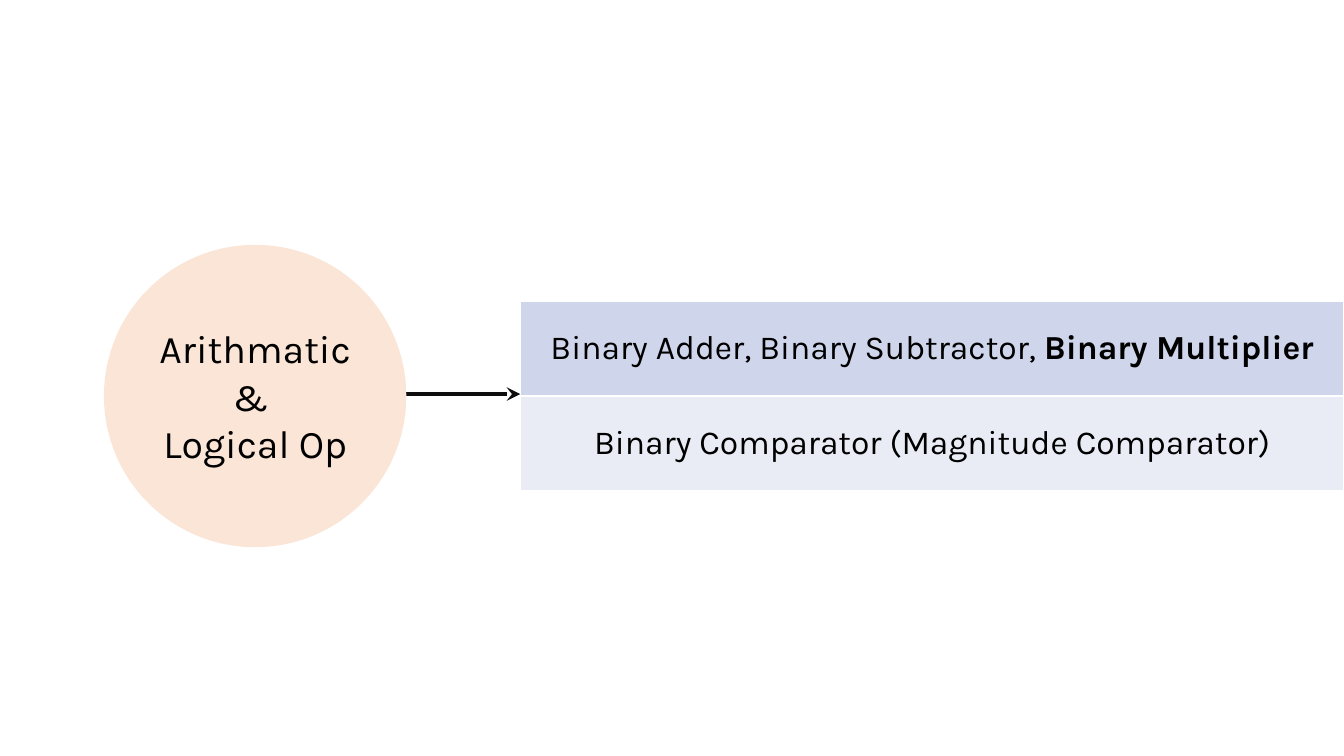
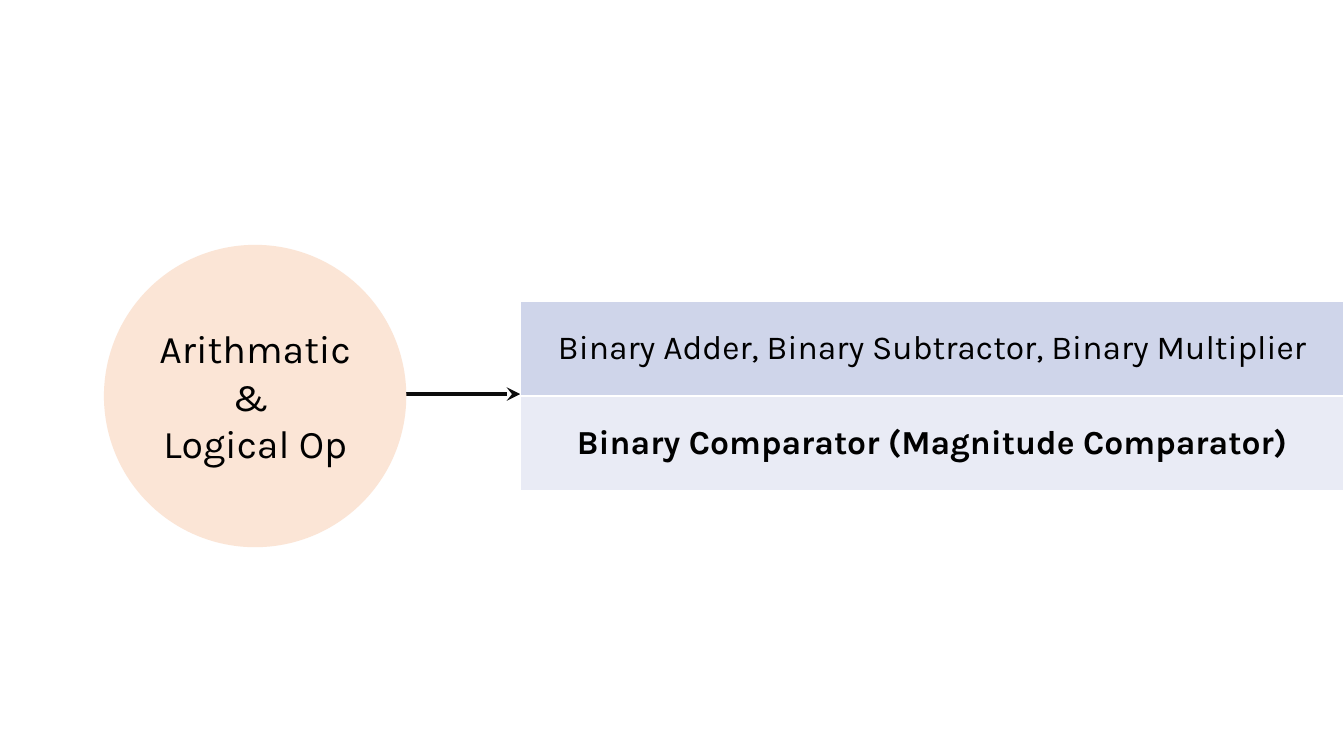
from dataclasses import dataclass

from lxml import etree
from pptx import Presentation
from pptx.dml.color import RGBColor
from pptx.enum.shapes import MSO_CONNECTOR, MSO_SHAPE
from pptx.enum.text import MSO_ANCHOR, PP_ALIGN
from pptx.oxml.ns import qn
from pptx.util import Cm, Pt

OVAL = MSO_SHAPE.OVAL
STRAIGHT = MSO_CONNECTOR.STRAIGHT
MIDDLE = MSO_ANCHOR.MIDDLE
CENTER = PP_ALIGN.CENTER
BLANK = 6


@dataclass(frozen=True)
class Theme:
    font: str = "Karla"
    topic_size: float = 28
    row_size: float = 24
    arrow_width: float = 3.25
    border_width: float = 1
    text: str = "000000"
    arrow: str = "0D0D0D"
    topic: str = "FBE5D6"
    border: str = "FFFFFF"
    rows: tuple = ("CFD5EA", "E9EBF5")


THEME = Theme()
SLIDE_W, SLIDE_H = Cm(33.87), Cm(19.05)
CIRCLE = (Cm(2.62), Cm(6.17), Cm(7.62))
TABLE_LEFT, TABLE_TOP, ROW_H = Cm(13.11), Cm(7.59), Cm(2.39)
ARROW_Y = Cm(9.93)

TOPIC = ("Arithmatic ", "& ", "Logical Op")
ADDERS = "Binary Adder, Binary Subtractor, "
MULTIPLIER = "Binary Multiplier"
COMPARATOR = "Binary Comparator (Magnitude Comparator)"

# Per slide: rows of (text, bold) runs.
SLIDES = (
    (((ADDERS, False), (MULTIPLIER, True)), ((COMPARATOR, False),)),
    (((ADDERS + MULTIPLIER, False),), ((COMPARATOR, True),)),
)


def set_fill(obj, color):
    obj.fill.solid()
    obj.fill.fore_color.rgb = RGBColor.from_string(color)


def add_runs(p, runs, size):
    p.alignment = CENTER
    for text, bold in runs:
        r = p.add_run()
        r.text = text
        r.font.name = THEME.font
        r.font.size = Pt(size)
        r.font.bold = bold
        r.font.color.rgb = RGBColor.from_string(THEME.text)


def add_arrow(s, left, right, y):
    line = s.shapes.add_connector(STRAIGHT, left, y, right, y)
    line.line.color.rgb = RGBColor.from_string(THEME.arrow)
    line.line.width = Pt(THEME.arrow_width)
    etree.SubElement(line.line._get_or_add_ln(), qn("a:tailEnd"), type="stealth")
    etree.SubElement(line._element.spPr, qn("a:effectLst"))


def add_topic(s, left, top, size):
    """Group a circle with the topic label centred on it."""
    group = s.shapes.add_group_shape()
    sp = group.shapes.add_shape(OVAL, left, top, size, size)
    sp.shadow.inherit = False
    set_fill(sp, THEME.topic)
    sp.line.fill.background()

    width, height = Cm(5.33), Cm(3.84)
    label = group.shapes.add_textbox(
        left + (size - width) // 2, top + (size - height) // 2, width, height)
    set_fill(label, THEME.topic)
    tf = label.text_frame
    tf.word_wrap = False
    for i, text in enumerate(TOPIC):
        p = tf.add_paragraph() if i else tf.paragraphs[0]
        add_runs(p, ((text, False),), THEME.topic_size)


def set_borders(cell):
    tc_pr = cell._tc.get_or_add_tcPr()
    for side in ("lnL", "lnR", "lnT", "lnB"):
        ln = etree.SubElement(tc_pr, qn(f"a:{side}"), w=str(Pt(THEME.border_width)))
        fill = etree.SubElement(ln, qn("a:solidFill"))
        etree.SubElement(fill, qn("a:srgbClr"), val=THEME.border)


def add_circuit_table(s, left, top, width, rows):
    table = s.shapes.add_table(
        len(rows), 1, left, top, width, ROW_H * len(rows)).table
    for i, (runs, color) in enumerate(zip(rows, THEME.rows)):
        cell = table.cell(i, 0)
        set_borders(cell)
        set_fill(cell, color)
        cell.vertical_anchor = MIDDLE
        add_runs(cell.text_frame.paragraphs[0], runs, THEME.row_size)


def add_topic_slide(prs, rows):
    s = prs.slides.add_slide(prs.slide_layouts[BLANK])
    left, top, size = CIRCLE
    add_arrow(s, left + size, TABLE_LEFT, ARROW_Y)
    add_topic(s, left, top, size)
    add_circuit_table(s, TABLE_LEFT, TABLE_TOP, SLIDE_W - TABLE_LEFT, rows)


def main():
    prs = Presentation()
    prs.slide_width, prs.slide_height = SLIDE_W, SLIDE_H
    for rows in SLIDES:
        add_topic_slide(prs, rows)
    prs.save("out.pptx")


if __name__ == "__main__":
    main()
